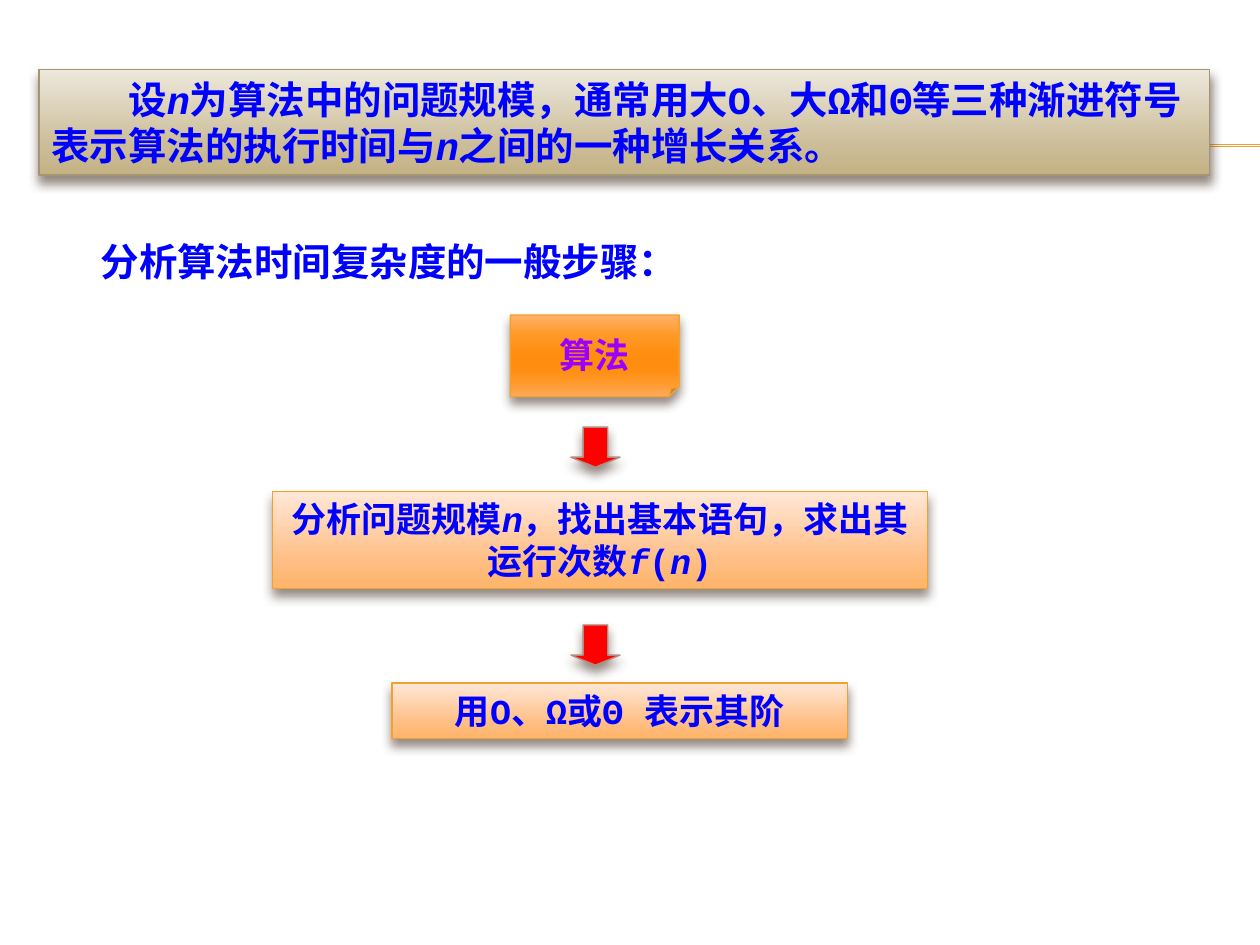
"""Build a slide on the steps for analysing the time complexity of an algorithm."""
from dataclasses import dataclass, field
from typing import Any

from lxml.etree import SubElement
from pptx import Presentation
from pptx.dml.color import RGBColor
from pptx.enum.shapes import MSO_CONNECTOR as Link, MSO_SHAPE as Preset
from pptx.enum.text import MSO_ANCHOR as Anchor, MSO_AUTO_SIZE as Fit, PP_ALIGN as Align
from pptx.oxml.ns import qn
from pptx.util import Cm, Pt

Stops = tuple[tuple[int, str], ...]


@dataclass(frozen=True)
class Theme:
    code_font: str = "Courier New"
    han_font: str = "Noto Sans CJK SC"
    lead_size: float = 22
    step_size: float = 20
    ink: str = "0000FF"
    violet: str = "9900FF"
    amber: str = "F0A22E"
    khaki: str = "A19574"
    red: str = "FF0000"
    rose: str = "B58B80"
    shade: str = "4E3B30"
    edge: float = 0.79
    rule: float = 0.75
    sand: Stops = ((0, "EDE8DC"), (72, "CCBD99"), (100, "C4B284"))
    peach: Stops = ((0, "FFE7D7"), (72, "FFBE84"), (100, "FFB468"))
    orange: Stops = ((0, "FFB16A"), (25, "FF9826"), (50, "FF8D0F"),
                     (65, "FF8D0F"), (80, "FF9724"), (100, "FFAA5C"))


THEME = Theme()


@dataclass(frozen=True)
class Panel:
    box: tuple[float, float, float, float]
    fill: Stops | str
    edge: str
    text: str = ""
    preset: Any = Preset.RECTANGLE
    guides: dict[str, int] = field(default_factory=dict)
    size: float = THEME.step_size
    color: str = THEME.ink
    indent: float = 0
    frame: dict[str, Any] = field(
        default_factory=lambda: {"word_wrap": True, "auto_size": Fit.SHAPE_TO_FIT_TEXT})
    paragraph: dict[str, Any] = field(default_factory=lambda: {"alignment": Align.CENTER})


def apply(target: Any, values: dict[str, Any]) -> None:
    """Set every format value on the target."""
    for name, value in values.items():
        setattr(target, name, value)


def write(shape: Any, text: str, size: float, color: str, font: str,
          frame: dict[str, Any], paragraph: dict[str, Any], indent: float = 0) -> None:
    """Write bold text in which asterisks enclose italic parts."""
    apply(shape.text_frame, {"vertical_anchor": Anchor.TOP, **frame})
    line = shape.text_frame.paragraphs[0]
    apply(line, paragraph)
    if indent:
        line._p.get_or_add_pPr().set("indent", str(Cm(indent)))
    for index, part in enumerate(text.split("*")):
        run = line.add_run()
        run.text = part
        apply(run.font, {"name": font, "size": Pt(size), "bold": True, "italic": index % 2 == 1})
        run.font.color.rgb = RGBColor.from_string(color)
        SubElement(run._r.get_or_add_rPr(), qn("a:ea"), typeface=THEME.han_font)


def paint(shape: Any, fill: Stops | str) -> None:
    """Fill the shape with one colour or with a gradient from top to bottom."""
    if isinstance(fill, str):
        shape.fill.solid()
        shape.fill.fore_color.rgb = RGBColor.from_string(fill)
        return
    shape.fill.gradient()
    shape.fill.gradient_angle = 270
    stops = shape.element.spPr.find(qn("a:gradFill")).find(qn("a:gsLst"))
    for stop in list(stops):
        stops.remove(stop)
    for position, color in fill:
        stop = SubElement(stops, qn("a:gs"), pos=str(position * 1000))
        SubElement(stop, qn("a:srgbClr"), val=color)


def mould(shape: Any, guides: dict[str, int]) -> None:
    """Set the guides of the preset outline."""
    values = shape.element.spPr.find(qn("a:prstGeom")).find(qn("a:avLst"))
    for guide in list(values) if guides else ():
        values.remove(guide)
    for name, value in guides.items():
        SubElement(values, qn("a:gd"), name=name, fmla=f"val {value}")


def cast_shadow(shape: Any) -> None:
    """Give the shape a soft shadow below it."""
    shape.shadow.inherit = False
    effects = shape.element.spPr.find(qn("a:effectLst"))
    shadow = SubElement(effects, qn("a:outerShdw"), blurRad=str(Pt(6)), dist=str(Pt(4)),
                        dir="5400000", rotWithShape="0")
    color = SubElement(shadow, qn("a:srgbClr"), val=THEME.shade)
    SubElement(color, qn("a:alpha"), val="60000")


def outline(shape: Any, color: str, width: float) -> None:
    """Draw the line of the shape."""
    shape.line.color.rgb = RGBColor.from_string(color)
    shape.line.width = Pt(width)


def add_panel(slide: Any, panel: Panel) -> None:
    """Add one panel with its text."""
    shape = slide.shapes.add_shape(panel.preset, *map(Cm, panel.box))
    mould(shape, panel.guides)
    paint(shape, panel.fill)
    outline(shape, panel.edge, THEME.edge)
    cast_shadow(shape)
    if panel.text:
        write(shape, panel.text, panel.size, panel.color, THEME.code_font,
              panel.frame, panel.paragraph, panel.indent)


def add_rule(slide: Any, height: float) -> None:
    """Add a horizontal rule that runs to the right edge."""
    rule = slide.shapes.add_connector(Link.STRAIGHT, Cm(1.42), Cm(height), Cm(25.4), Cm(height))
    outline(rule, THEME.amber, THEME.rule)
    SubElement(rule._element.spPr, qn("a:effectLst"))


def add_heading(slide: Any, text: str) -> None:
    """Add the heading above the steps."""
    heading = slide.shapes.add_textbox(Cm(1.78), Cm(4.67), Cm(14.68), Cm(1.19))
    write(heading, text, THEME.lead_size, THEME.ink, THEME.han_font,
          {"word_wrap": True, "auto_size": Fit.SHAPE_TO_FIT_TEXT}, {"alignment": Align.LEFT})


DEFINITION = Panel(
    (0.79, 1.4, 23.6, 2.13), THEME.sand, THEME.khaki,
    "设*n*为算法中的问题规模，通常用大O、大Ω和Θ等三种渐进符号表示算法的执行时间与*n*之间的一种增长关系。",
    size=THEME.lead_size, indent=1.55, paragraph={"alignment": Align.LEFT})
STEPS = (
    Panel((10.29, 6.35, 3.4, 1.65), THEME.orange, THEME.amber, "算法",
          Preset.FOLDED_CORNER, {"adj": 12500}, color=THEME.violet,
          frame={"word_wrap": False, "vertical_anchor": Anchor.MIDDLE},
          paragraph={"alignment": Align.CENTER, "line_spacing": Pt(28)}),
    Panel((5.49, 9.91, 13.21, 1.96), THEME.peach, THEME.amber,
          "分析问题规模*n*，找出基本语句，求出其运行次数*f*(*n*)"),
    Panel((7.9, 13.77, 9.19, 1.12), THEME.peach, THEME.amber, "用O、Ω或Θ 表示其阶"),
)
ARROWS = tuple(Panel((11.51, top, 0.99, 0.81), THEME.red, THEME.rose, preset=Preset.DOWN_ARROW,
                     guides={"adj1": 50000, "adj2": 25000})
               for top in (8.61, 12.6))


def main() -> None:
    """Build and save the slide."""
    deck = Presentation()
    apply(deck, {"slide_width": Cm(25.4), "slide_height": Cm(19.05)})
    slide = deck.slides.add_slide(deck.slide_layouts[6])
    for height in (2.92, 2.95):
        add_rule(slide, height)
    add_panel(slide, DEFINITION)
    add_heading(slide, "分析算法时间复杂度的一般步骤：")
    for panel in STEPS + ARROWS:
        add_panel(slide, panel)
    deck.save("out.pptx")


main()
